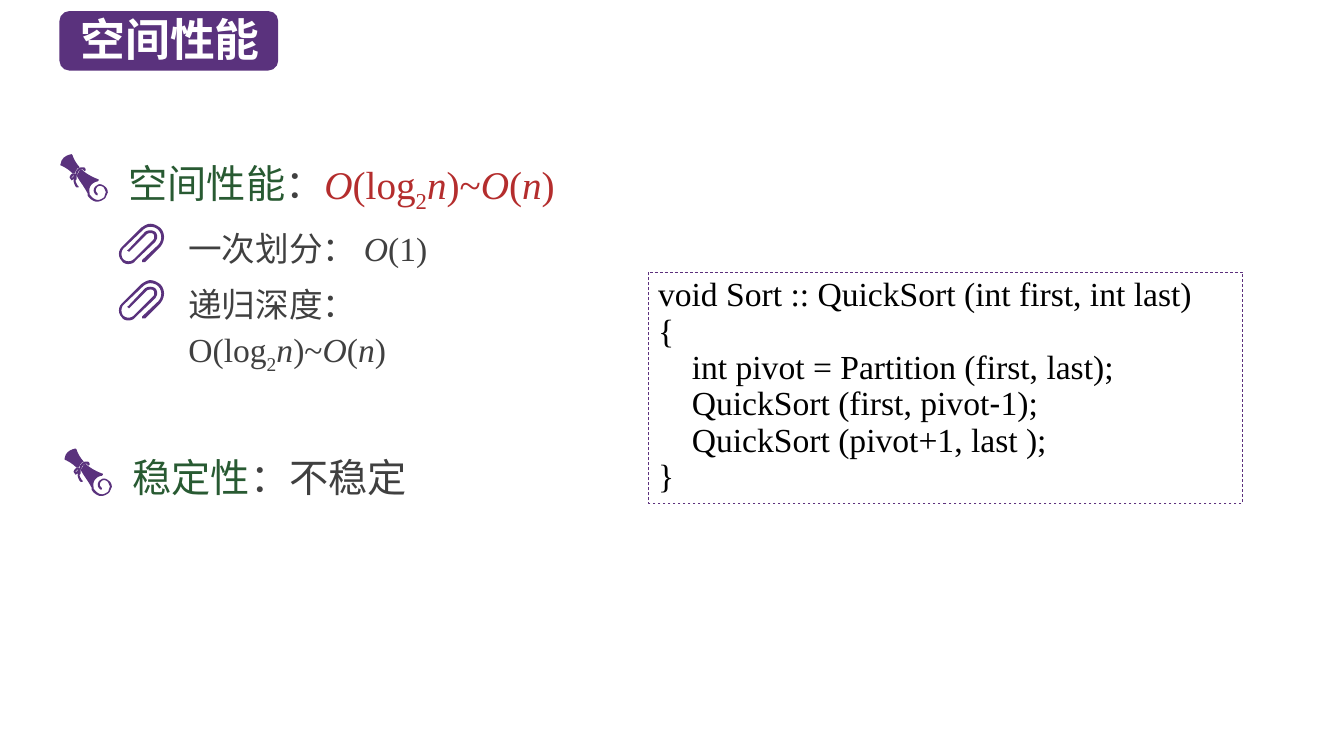
from lxml import etree
from pptx import Presentation
from pptx.dml.color import RGBColor
from pptx.enum.dml import MSO_LINE
from pptx.enum.shapes import MSO_SHAPE
from pptx.enum.text import MSO_ANCHOR, MSO_AUTO_SIZE, PP_ALIGN
from pptx.oxml.ns import qn
from pptx.util import Cm, Pt

ROUNDED, RECTANGLE = MSO_SHAPE.ROUNDED_RECTANGLE, MSO_SHAPE.RECTANGLE
DASH, LEFT, TOP = MSO_LINE.DASH, PP_ALIGN.LEFT, MSO_ANCHOR.TOP
GROW = MSO_AUTO_SIZE.SHAPE_TO_FIT_TEXT

PURPLE = RGBColor(0x5A, 0x32, 0x7D)
BORDER = RGBColor(0x5C, 0x30, 0x7D)
GREEN = RGBColor(0x28, 0x5A, 0x32)
RED = RGBColor(0xB4, 0x2D, 0x2D)
GREY = RGBColor(0x40, 0x40, 0x40)
BLACK = RGBColor(0, 0, 0)
WHITE = RGBColor(0xFF, 0xFF, 0xFF)
SERIF, SANS, HAN = "Times New Roman", "Arial", "Noto Sans CJK SC"

# Content: each run is (text, its own format)
ITALIC = {"italic": True}
SUBSCRIPT = {"baseline": -25000}
LOG_TO_N = [("2", SUBSCRIPT), ("n", ITALIC), (")~", {}), ("O", ITALIC),
            ("(", {}), ("n", ITALIC), (")", {})]

TITLE = [("空间性能", {})]
SPACE_LABEL = [(" ", {}), ("空间性能", {"color": GREEN}), ("：", {})]
SPACE_COST = [("O", ITALIC), ("(log", {})] + LOG_TO_N
STABILITY = [(" ", {}), ("稳定性", {"color": GREEN}), ("：不稳定", {})]
DETAILS = [
    (3.08, [("一次划分： ", {}), ("O", ITALIC), ("(1)", {})]),
    (3.81, [("递归深度：O(log", {})] + LOG_TO_N),
]
# Code lines: (indent level, runs)
CODE = [
    (0, [("void Sort :: QuickSort (int first, int last)", {})]),
    (0, [("{", {})]),
    (1, [("int pivot = Partition (first, last);", {})]),
    (1, [("QuickSort (first, pivot", {}), ("-", {"font": SANS}), ("1);", {})]),
    (1, [("QuickSort (pivot+1, last );", {})]),
    (0, [("}", {})]),
]

# Icon outlines in units of 1/100 inch: a pair is a line, six numbers a curve
SCROLL_END = [
    (15, 19), (16, 17, 17, 15, 18, 14), (20, 13), (14, 6, 13, 1, 13, 1), (12, 0),
    (12, 0, 2, 1, 1, 10), (1, 11), (1, 11, 7, 13, 13, 19)]
SCROLL_BODY = [
    (45, 32), (44, 31, 40, 28, 37, 31), (35, 32, 34, 34, 34, 36),
    (34, 38, 35, 39, 36, 40), (37, 41, 38, 41, 38, 40), (38, 39),
    (37, 38, 36, 37, 36, 36), (36, 34, 37, 33, 38, 32), (41, 30, 44, 33, 44, 33),
    (45, 35, 46, 37, 46, 38), (45, 40, 45, 42, 44, 43), (41, 45, 39, 46, 36, 45),
    (33, 44, 31, 41, 30, 40), (30, 39), (29, 35, 30, 32, 32, 30),
    (35, 27, 38, 27, 38, 27), (39, 26), (39, 25), (33, 23, 28, 20, 24, 17),
    (22, 15), (20, 16), (18, 20), (17, 21), (18, 23), (21, 28, 25, 33, 28, 39),
    (28, 41), (29, 43, 32, 46, 36, 47), (38, 47), (40, 47, 42, 46, 45, 44),
    (46, 43, 47, 40, 48, 38), (48, 36, 47, 33, 45, 32)]
RIBBON = [
    (18, 33), (17, 33), (16, 32), (15, 30, 14, 28, 14, 26), (15, 25), (14, 25),
    (12, 26), (10, 23), (11, 20, 13, 19, 14, 19), (15, 19), (16, 20), (16, 19),
    (16, 17, 17, 16, 19, 14), (19, 14, 21, 13, 22, 13), (24, 13),
    (25, 13, 26, 14, 26, 16), (25, 17), (24, 16), (23, 15), (22, 15), (20, 16),
    (19, 17, 18, 18, 18, 20), (17, 21), (17, 25), (16, 26),
    (16, 28, 17, 29, 18, 31), (19, 32), (19, 33)]
RIBBON_HOLE = [(14, 21), (12, 23), (12, 24), (13, 23), (14, 22), (15, 21)]
CLIP_WIRE = [
    (42, 4), (39, 2, 36, 0, 32, 0), (29, 0, 26, 2, 23, 4), (4, 23),
    (0, 27, 0, 33, 4, 37), (5, 39, 8, 40, 10, 40), (13, 40, 16, 39, 17, 37),
    (37, 18), (38, 16, 39, 15, 39, 13), (39, 11, 38, 9, 37, 8),
    (34, 6, 30, 6, 27, 8), (10, 26), (9, 26, 9, 27, 10, 27), (11, 28), (12, 27),
    (29, 10), (31, 9, 34, 9, 35, 10), (36, 11, 36, 12, 36, 13),
    (36, 14, 36, 15, 35, 16), (16, 35), (13, 38, 8, 38, 5, 35),
    (3, 32, 3, 28, 5, 25), (25, 6), (27, 4, 30, 3, 32, 3), (35, 3, 38, 4, 40, 6),
    (44, 10, 44, 17, 40, 21), (24, 36), (24, 38), (27, 38), (42, 23),
    (47, 17, 47, 9, 42, 4)]
SCROLL = [[SCROLL_END], [SCROLL_BODY], [RIBBON, RIBBON_HOLE]]
CLIP = [[CLIP_WIRE]]
CURVE_STEPS = 6


def inch(value):
    return Cm(value * 2.54)


deck = Presentation()
deck.slide_width, deck.slide_height = inch(13.333), inch(7.5)
page = deck.slides.add_slide(deck.slide_layouts[6])


def add_runs(para, runs, size, color, font=SERIF, bold=False):
    for text, own in runs:
        span = para.add_run()
        span.text = text
        span.font.size = Pt(size)
        span.font.bold = bold
        span.font.italic = own.get("italic", False)
        span.font.color.rgb = own.get("color", color)
        span.font.name = own.get("font", font)
        properties = span.font._element
        etree.SubElement(properties, qn("a:ea")).set("typeface", HAN)
        if "baseline" in own:
            properties.set("baseline", str(own["baseline"]))


def prepare(frame):
    frame.word_wrap = True
    frame.auto_size = GROW
    frame.vertical_anchor = TOP


def add_text(runs, left, top, width, height, spacing=1.0, before=0, **style):
    box = page.shapes.add_textbox(inch(left), inch(top), inch(width), inch(height))
    prepare(box.text_frame)
    para = box.text_frame.paragraphs[0]
    para.line_spacing = spacing
    para.space_before = Pt(before)
    add_runs(para, runs, **style)


def flatten(outline):
    points = [outline[0]]
    for step in outline[1:]:
        if len(step) == 2:
            points.append(step)
            continue
        corners = [points[-1], step[:2], step[2:4], step[4:]]
        for index in range(1, CURVE_STEPS + 1):
            t = index / CURVE_STEPS
            weights = ((1 - t) ** 3, 3 * t * (1 - t) ** 2, 3 * t * t * (1 - t), t ** 3)
            points.append(tuple(sum(w * c[axis] for w, c in zip(weights, corners))
                                for axis in (0, 1)))
    return [(inch(x / 100), inch(y / 100)) for x, y in points]


def add_icon(pieces, left, top):
    for outlines in pieces:
        contours = [flatten(outline) for outline in outlines]
        builder = page.shapes.build_freeform(*contours[0][0])
        builder.add_line_segments(contours[0][1:], close=True)
        for contour in contours[1:]:
            builder.move_to(*contour[0])
            builder.add_line_segments(contour[1:], close=True)
        shape = builder.convert_to_shape(inch(left), inch(top))
        shape.shadow.inherit = False
        shape.fill.solid()
        shape.fill.fore_color.rgb = PURPLE
        shape.line.fill.background()


# Title
badge = page.shapes.add_shape(ROUNDED, inch(0.59), inch(0.11), inch(2.17), inch(0.59))
badge.shadow.inherit = False
badge.fill.solid()
badge.fill.fore_color.rgb = PURPLE
badge.line.fill.background()
add_text(TITLE, 0.7, 0.07, 2.1, 0.64, size=32, color=WHITE, font=HAN, bold=True)

# Main points
for runs, left, top, width in [(SPACE_LABEL, 1.09, 1.39, 4.72),
                               (STABILITY, 1.13, 4.31, 4.25)]:
    add_text(runs, left, top, width, 0.71, spacing=1.3, size=28, color=GREY)
    add_icon(SCROLL, left - 0.5, top + 0.14)
add_text(SPACE_COST, 3.12, 1.38, 2.69, 0.71, spacing=1.3, size=28, color=RED)

# Details
for row, (width, runs) in enumerate(DETAILS):
    top = 2.17 + 0.56 * row
    add_text(runs, 1.77, top, width, 0.55, spacing=1.1, before=4.8,
             size=24, color=GREY)
    add_icon(CLIP, 1.17, top + 0.05)

# Code panel
panel = page.shapes.add_shape(RECTANGLE, inch(6.43), inch(2.7), inch(5.9), inch(2.29))
panel.shadow.inherit = False
panel.fill.background()
panel.line.color.rgb = BORDER
panel.line.width = Pt(0.5)
panel.line.dash_style = DASH
prepare(panel.text_frame)
for row, (level, runs) in enumerate(CODE):
    para = panel.text_frame.add_paragraph() if row else panel.text_frame.paragraphs[0]
    para.alignment = LEFT
    para.line_spacing = Pt(26)
    para._p.get_or_add_pPr().set("marL", str(Cm(0.85) * level))
    add_runs(para, runs, size=24, color=BLACK)

deck.save("out.pptx")
